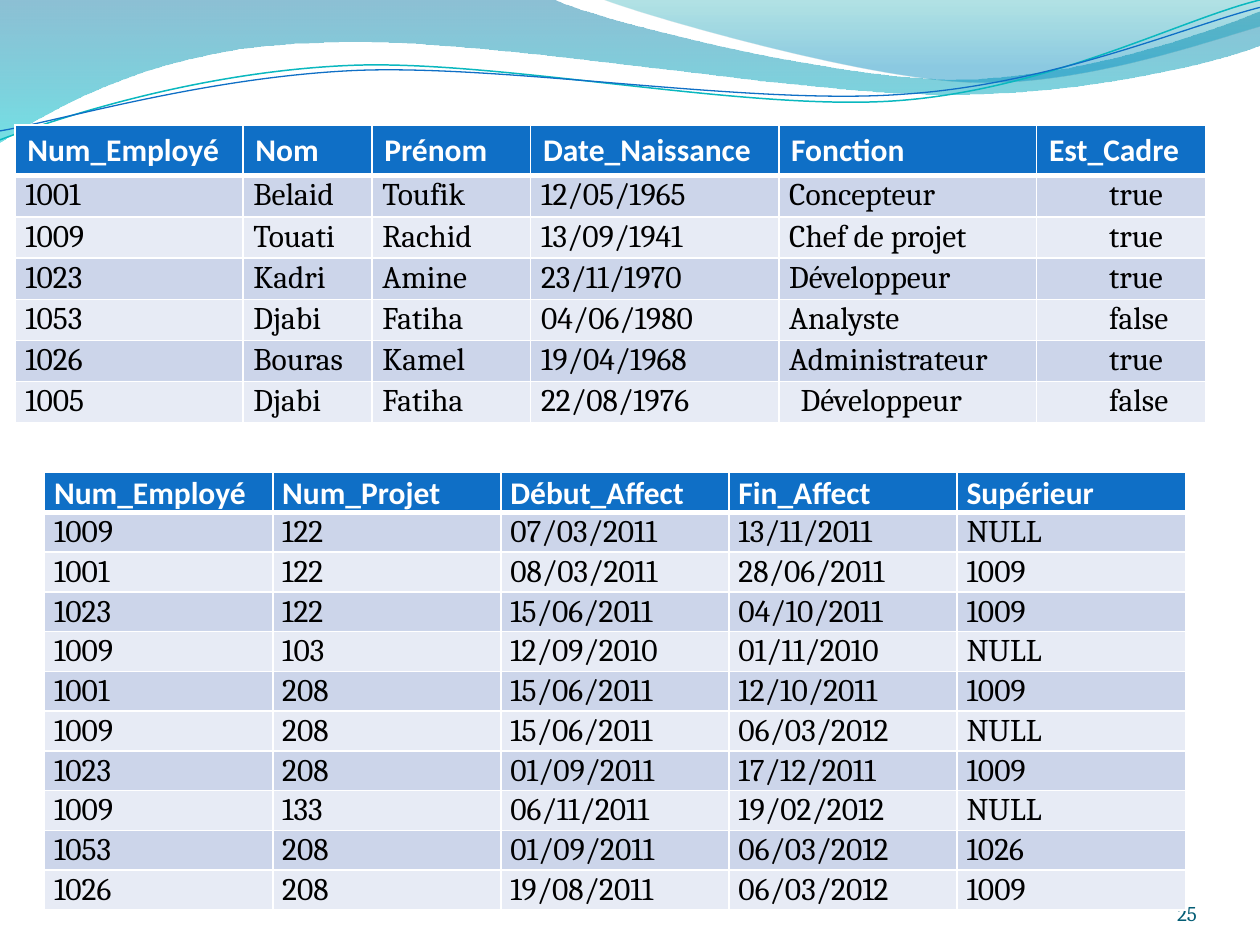
"""Build a slide with two relational tables under a wave banner."""
from lxml.etree import SubElement
from pptx import Presentation
from pptx.dml.color import RGBColor
from pptx.enum.text import MSO_ANCHOR as Anchor, PP_ALIGN as Align
from pptx.oxml.ns import qn
from pptx.util import Cm, Pt

HEADER_FONT = {"name": "Calibri", "size": Pt(18), "bold": True}
BODY_FONT = {"name": "Cambria", "size": Pt(18), "bold": False}
TIGHT_CELL = {"margin_left": Cm(0.19), "margin_right": Cm(0.19), "margin_top": 0, "margin_bottom": 0}
ROOMY_CELL = {"margin_left": Cm(0.25), "margin_right": Cm(0.25), "margin_top": Cm(0.13), "margin_bottom": Cm(0.13)}
HEADER_BORDERS = {"a:lnL": 1, "a:lnR": 1, "a:lnT": 1, "a:lnB": 3}

EMPLOYEES = [
    ["Num_Employé", "Nom", "Prénom", "Date_Naissance", "Fonction", "Est_Cadre"],
    ["1001", "Belaid", "Toufik", "12/05/1965", "Concepteur", "true"],
    ["1009", "Touati", "Rachid", "13/09/1941", "Chef de projet", "true"],
    ["1023", "Kadri", "Amine", "23/11/1970", "Développeur", "true"],
    ["1053", "Djabi", "Fatiha", "04/06/1980", "Analyste", "false"],
    ["1026", "Bouras", "Kamel", "19/04/1968", "Administrateur", "true"],
    ["1005", "Djabi", "Fatiha", "22/08/1976", "Développeur", "false"],
]
ASSIGNMENTS = [
    ["Num_Employé", "Num_Projet", "Début_Affect", "Fin_Affect", "Supérieur"],
    ["1009", "122", "07/03/2011", "13/11/2011", "NULL"],
    ["1001", "122", "08/03/2011", "28/06/2011", "1009"],
    ["1023", "122", "15/06/2011", "04/10/2011", "1009"],
    ["1009", "103", "12/09/2010", "01/11/2010", "NULL"],
    ["1001", "208", "15/06/2011", "12/10/2011", "1009"],
    ["1009", "208", "15/06/2011", "06/03/2012", "NULL"],
    ["1023", "208", "01/09/2011", "17/12/2011", "1009"],
    ["1009", "133", "06/11/2011", "19/02/2012", "NULL"],
    ["1053", "208", "01/09/2011", "06/03/2012", "1026"],
    ["1026", "208", "19/08/2011", "06/03/2012", "1009"],
]
WIDE_WAVE = [
    (0, 0), (11.18, 0), (12.09, 0.43, 16.87, 1.6, 19.25, 1.6), (21.67, 1.6, 24.33, 0.66, 25.4, 0.23),
    (25.4, 0.91), (24.97, 1.12, 22.1, 1.93, 18.95, 1.9), (15.8, 1.9, 9.7, 0.71, 6.53, 0.86),
    (3.28, 0.91, 1.17, 2.11, 0, 2.87),
]
RIGHT_WAVE = [
    (12.17, 0), (12.93, 0.3, 17.32, 1.57, 19.53, 1.65), (21.74, 1.75, 24.41, 0.81, 25.4, 0.53), (25.4, 0),
]
TEAL_CURVE = [
    (0, 2.82), (1.22, 2.36, 4.01, 1.45, 7.04, 1.32), (10.03, 1.19, 15.06, 2.26, 18.11, 2.03),
    (21.16, 1.8, 23.83, 0.38, 25.4, 0),
]
BLUE_CURVE = [
    (0, 2.64), (1.19, 2.44, 4.17, 1.55, 7.19, 1.42), (10.24, 1.3, 15.16, 2.13, 18.21, 1.9),
    (21.23, 1.7, 23.9, 0.53, 25.4, 0.15),
]


def color(value):
    return RGBColor.from_string(value)


def apply(target, values):
    for name, value in values.items():
        setattr(target, name, value)


class SlideBuilder:
    def __init__(self, slide):
        self.slide = slide
        self.header_fill = "0F6FC6"
        self.band_fills = ["E7EBF5", "CCD5EA"]

    def freeform(self, outline, closed):
        corners = [(Cm(segment[-2]), Cm(segment[-1])) for segment in outline]
        builder = self.slide.shapes.build_freeform(*corners[0])
        builder.add_line_segments(corners[1:], close=closed)
        shape = builder.convert_to_shape()
        shape.shadow.inherit = False
        lines = list(shape._element.spPr.iter(qn("a:lnTo")))
        for line, segment in zip(lines, outline[1:]):
            if len(segment) == 6:
                self.bend(shape, line, segment)
        return shape

    def bend(self, shape, line, segment):
        parent = line.getparent()
        bezier = SubElement(parent, qn("a:cubicBezTo"))
        for x, y in zip(segment[::2], segment[1::2]):
            point = SubElement(bezier, qn("a:pt"))
            point.set("x", str(Cm(x) - shape.left))
            point.set("y", str(Cm(y) - shape.top))
        parent.replace(line, bezier)

    def wave(self, outline, stops):
        shape = self.freeform(outline, True)
        shape.line.fill.background()
        shape.fill.gradient()
        shape.fill.gradient_angle = 270
        for stop, (position, value, _) in zip(shape.fill.gradient_stops, stops):
            stop.position = position
            stop.color.rgb = color(value)
        for element, (_, _, opacity) in zip(shape._element.spPr.iter(qn("a:srgbClr")), stops):
            SubElement(element, qn("a:alpha")).set("val", str(opacity * 1000))

    def curve(self, outline, value, width):
        shape = self.freeform(outline, False)
        shape.fill.background()
        shape.line.color.rgb = color(value)
        shape.line.width = Pt(width)

    def page_number(self, text, left, top, width, height):
        frame = self.slide.shapes.add_textbox(Cm(left), Cm(top), Cm(width), Cm(height)).text_frame
        apply(frame, {"word_wrap": True, "vertical_anchor": Anchor.BOTTOM, "margin_left": 0,
                      "margin_right": 0, "margin_top": 0, "margin_bottom": 0})
        paragraph = frame.paragraphs[0]
        paragraph.alignment = Align.RIGHT
        run = paragraph.add_run()
        run.text = text
        apply(run.font, {"name": "Cambria", "size": Pt(12)})
        run.font.color.rgb = color("045D75")

    def header_borders(self, cell):
        properties = cell._tc.get_or_add_tcPr()
        for tag, width in HEADER_BORDERS.items():
            border = SubElement(properties, qn(tag))
            border.set("w", str(Pt(width)))
            fill = SubElement(border, qn("a:solidFill"))
            SubElement(fill, qn("a:srgbClr")).set("val", "FFFFFF")

    def cell(self, cell, text, fill, font, font_color, margins, spacing, indent):
        apply(cell, margins)
        cell.fill.solid()
        cell.fill.fore_color.rgb = color(fill)
        paragraph = cell.text_frame.paragraphs[0]
        paragraph.line_spacing = spacing
        paragraph._p.get_or_add_pPr().set("marL", str(Cm(indent)))
        run = paragraph.add_run()
        run.text = text
        apply(run.font, font)
        run.font.color.rgb = color(font_color)

    def table(self, records, left, top, widths, heights, header_margins, header_spacing, indents):
        table = self.slide.shapes.add_table(
            len(records), len(widths), Cm(left), Cm(top), Cm(sum(widths)), Cm(sum(heights))).table
        for column, width in zip(table.columns, widths):
            column.width = Cm(width)
        for index, (row, record, height) in enumerate(zip(table.rows, records, heights)):
            row.height = Cm(height)
            for number, (cell, text) in enumerate(zip(row.cells, record)):
                if index == 0:
                    self.header_borders(cell)
                    self.cell(cell, text, self.header_fill, HEADER_FONT, "FFFFFF",
                              header_margins, header_spacing, 0)
                else:
                    indent = indents.get((index, number), indents.get(number, 0))
                    self.cell(cell, text, self.band_fills[index % 2], BODY_FONT, "000000",
                              TIGHT_CELL, 1.05, indent)


def main():
    presentation = Presentation()
    apply(presentation, {"slide_width": Cm(25.4), "slide_height": Cm(19.05)})
    builder = SlideBuilder(presentation.slides.add_slide(presentation.slide_layouts[6]))
    builder.wave(WIDE_WAVE, [(0, "0074A1", 45), (1, "00C6CF", 55)])
    builder.wave(RIGHT_WAVE, [(0, "00A1A9", 30), (0.8, "008BBF", 45)])
    builder.curve(TEAL_CURVE, "0AB8BF", 0.85)
    builder.curve(BLUE_CURVE, "0F6FC6", 0.75)
    builder.page_number("25", 22.02, 17.65, 2.11, 1.02)
    builder.table(ASSIGNMENTS, 0.9, 9.53, [4.6] * 5, [0.8] * 10 + [0.76], TIGHT_CELL, 1.05, {})
    employee_indents = {number: 0.02 for number in range(5)}
    employee_indents.update({5: 1.27, (6, 4): 0.25})
    builder.table(EMPLOYEES, 0.3, 2.52, [4.6, 2.6, 3.2, 5, 5.2, 3.4], [1.02] + [0.83] * 6,
                  ROOMY_CELL, 1.0, employee_indents)
    presentation.save("out.pptx")


if __name__ == "__main__":
    main()
